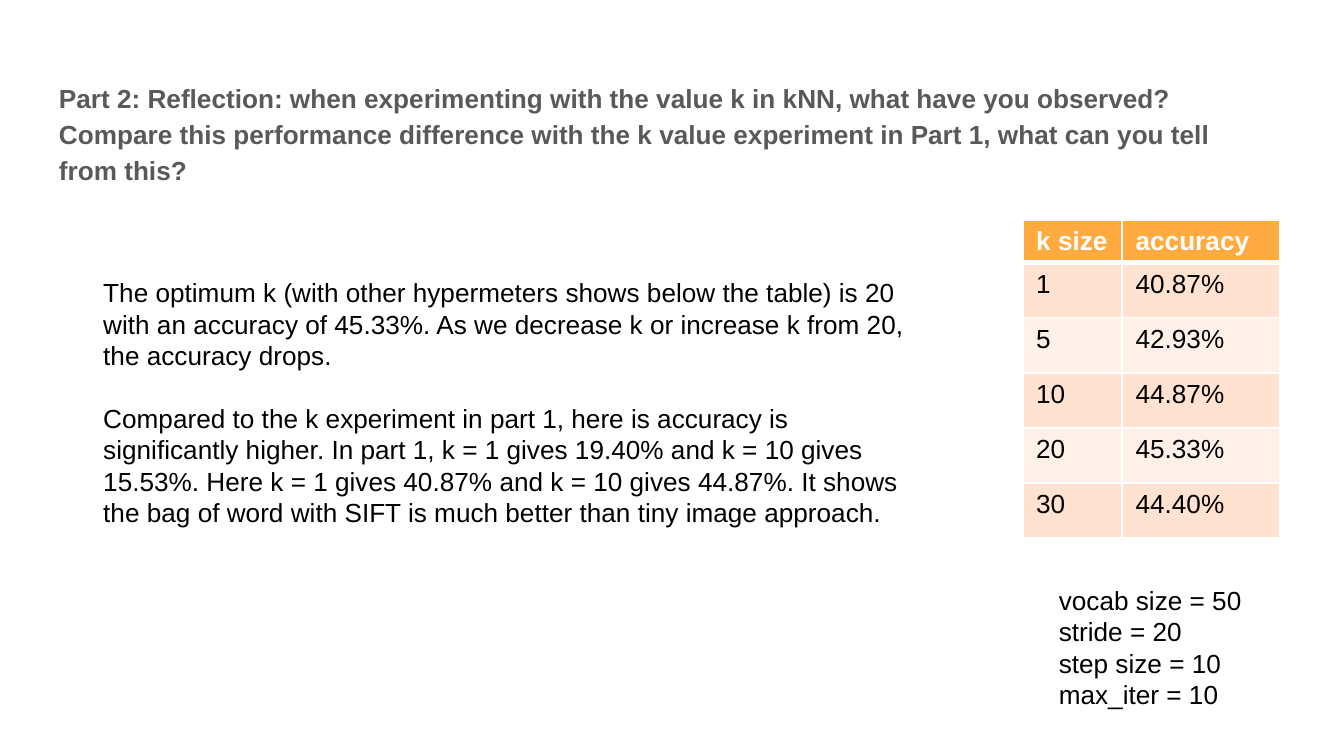
from dataclasses import dataclass

from lxml.etree import SubElement as Sub
from pptx import Presentation
from pptx.dml.color import RGBColor as Rgb
from pptx.oxml.ns import qn
from pptx.util import Inches, Pt


@dataclass(frozen=True)
class Theme:
    """Colours and type sizes of the slide."""
    font: str = "Arial"
    size: int = 14
    gap: float = 16.8
    gray: str = "595959"
    black: str = "000000"
    white: str = "FFFFFF"
    head: str = "FFAB40"
    bands: tuple = ("FFE2CF", "FFF1E8")


THEME = Theme()
TITLE = (
    "Part 2: Reflection: when experimenting with the value k in kNN, what have "
    "you observed? Compare this performance difference with the k value "
    "experiment in Part 1, what can you tell from this?"
)
NOTES = [
    "The optimum k (with other hypermeters shows below the table) is 20 with an "
    "accuracy of 45.33%. As we decrease k or increase k from 20, the accuracy drops.",
    "Compared to the k experiment in part 1, here is accuracy is significantly "
    "higher. In part 1, k = 1 gives 19.40% and k = 10 gives 15.53%. Here k = 1 "
    "gives 40.87% and k = 10 gives 44.87%. It shows the bag of word with SIFT is "
    "much better than tiny image approach.",
]
PARAMS = ["vocab size = 50", "stride = 20", "step size = 10", "max_iter = 10"]
SCORES = [
    ("k size", "accuracy"),
    ("1", "40.87%"),
    ("5", "42.93%"),
    ("10", "44.87%"),
    ("20", "45.33%"),
    ("30", "44.40%"),
]


def add_run(para, text, color, bold=False):
    """Add one styled run to a paragraph."""
    run = para.add_run()
    run.text = text
    font = run.font
    font.name, font.size, font.bold = THEME.font, Pt(THEME.size), bold
    font.color.rgb = Rgb.from_string(color)


def add_text(slide, box, lines, color=THEME.black, bold=False,
             wrap=True, pad=(0.1, 0.05), space=1.0, gap=0):
    """Place a text box with one paragraph per line."""
    frame = slide.shapes.add_textbox(*map(Inches, box)).text_frame
    frame.word_wrap = wrap
    frame.margin_left = frame.margin_right = Inches(pad[0])
    frame.margin_top = frame.margin_bottom = Inches(pad[1])
    for i, line in enumerate(lines):
        para = frame.add_paragraph() if i else frame.paragraphs[0]
        para.line_spacing = space
        para.space_before = Pt(gap if i else 0)
        add_run(para, line, color, bold)


def add_edge(cell, side, width):
    """Draw one white border of a cell."""
    line = Sub(cell._tc.get_or_add_tcPr(), qn(f"a:ln{side}"), w=str(Pt(width)))
    fill = Sub(line, qn("a:solidFill"))
    Sub(fill, qn("a:srgbClr"), val=THEME.white)


def add_scores(slide, box, rows, widths, top, step):
    """Place the banded table of accuracy by k."""
    shape = slide.shapes.add_table(len(rows), len(widths), *map(Inches, box))
    table = shape.table
    for col, width in zip(table.columns, widths):
        col.width = Inches(width)
    for r, row in enumerate(rows):
        head = r == 0
        table.rows[r].height = Inches(top if head else step)
        for c, text in enumerate(row):
            cell = table.cell(r, c)
            cell.margin_bottom = Inches(0.03)
            for side in "LRTB":
                thick = (head and side == "B") or (r == 1 and side == "T")
                add_edge(cell, side, 3 if thick else 1)
            cell.fill.solid()
            tint = THEME.head if head else THEME.bands[(r - 1) % 2]
            cell.fill.fore_color.rgb = Rgb.from_string(tint)
            color = THEME.white if head else THEME.black
            add_run(cell.text_frame.paragraphs[0], text, color, head)
    shape.height = Inches(box[3])


def main():
    """Build the slide and save it."""
    deck = Presentation()
    deck.slide_width = Inches(10)
    deck.slide_height = Inches(10 * 9 / 16)
    slide = deck.slides.add_slide(deck.slide_layouts[6])
    add_text(slide, (0.34, 0.48, 9.18, 4.52), [TITLE], THEME.gray, True,
             pad=(0.1, 0.1), space=1.15)
    add_scores(slide, (7.61, 1.64, 1.91, 2.36), SCORES, (0.74, 1.17), 0.27, 0.41)
    add_text(slide, (7.78, 4.3, 1.57, 1.04), PARAMS, wrap=False)
    add_text(slide, (0.67, 2.01, 6.16, 1.99), NOTES, gap=THEME.gap)
    deck.save("out.pptx")


if __name__ == "__main__":
    main()
